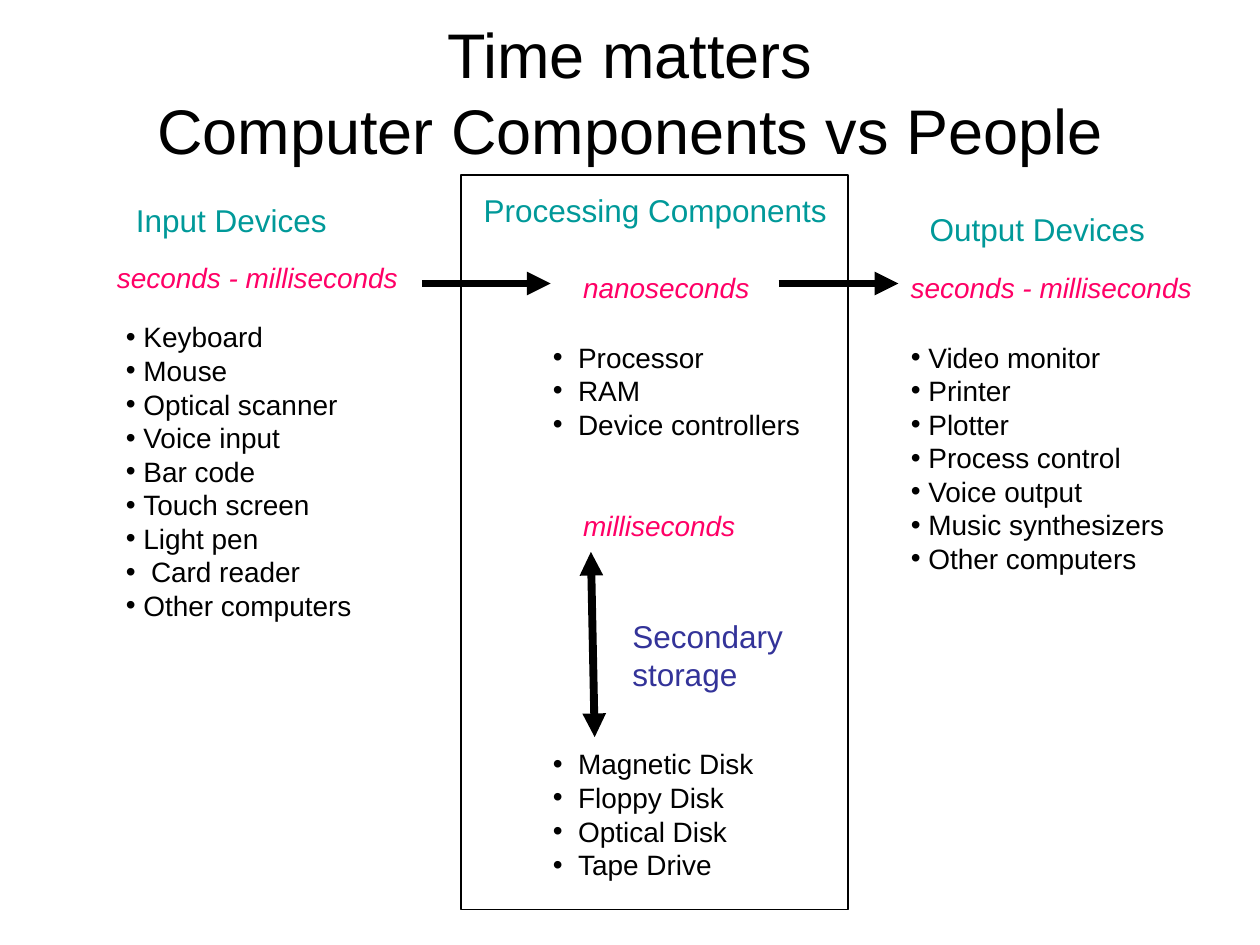
from dataclasses import dataclass

import lxml.etree
import pptx
import pptx.dml.color
import pptx.enum.shapes
import pptx.enum.text
import pptx.oxml.ns
import pptx.util

Inches = pptx.util.Inches
Pt = pptx.util.Pt
qn = pptx.oxml.ns.qn


@dataclass(frozen=True)
class Theme:
    font: str = "Arial"
    ink: str = "000000"
    heading: str = "009999"
    storage: str = "333399"
    speed: str = "FF0066"
    title_size: int = 36
    heading_size: int = 18
    body_size: int = 16
    frame_width: float = 0.75
    arrow_width: float = 4.5


class SlideBuilder:
    def __init__(self, slide, theme):
        self.s = slide
        self.theme = theme

    def color(self, value):
        return pptx.dml.color.RGBColor.from_string(value)

    def run(self, p, text, size, color, italic=False):
        r = p.add_run()
        r.text = text
        r.font.name = self.theme.font
        r.font.size = Pt(size)
        r.font.italic = italic
        r.font.color.rgb = self.color(color)

    def title(self, lines, x, y, w, h):
        sp = self.s.shapes.title
        sp.left, sp.top, sp.width, sp.height = map(Inches, (x, y, w, h))
        tf = sp.text_frame
        tf.auto_size = pptx.enum.text.MSO_AUTO_SIZE.NONE
        tf.vertical_anchor = pptx.enum.text.MSO_ANCHOR.MIDDLE
        p = tf.paragraphs[0]
        p.alignment = pptx.enum.text.PP_ALIGN.CENTER
        for i, line in enumerate(lines):
            if i:
                p.add_line_break()
            self.run(p, line, self.theme.title_size, self.theme.ink)

    def paragraphs(self, lines, x, y, w, h, wrap):
        """Add a text box and yield each line with its empty paragraph."""
        tf = self.s.shapes.add_textbox(*map(Inches, (x, y, w, h))).text_frame
        tf.word_wrap = wrap
        for i, line in enumerate(lines):
            yield line, tf.add_paragraph() if i else tf.paragraphs[0]

    def heading(self, lines, x, y, w, h=0.4, color=None):
        for line, p in self.paragraphs(lines, x, y, w, h, False):
            self.run(p, line, self.theme.heading_size, color or self.theme.heading)

    def speed(self, text, x, y, w):
        for line, p in self.paragraphs([text], x, y, w, 0.37, False):
            self.run(p, line, self.theme.body_size, self.theme.speed, italic=True)

    def bullets(self, items, x, y, w, h, hang=0.14, wide=()):
        """Add a bulleted list; items in wide get the larger hanging indent."""
        for item, p in self.paragraphs(items, x, y, w, h, True):
            indent = Inches(0.2 if item in wide else hang)
            pPr = p._p.get_or_add_pPr()
            pPr.set("marL", str(indent))
            pPr.set("indent", str(-indent))
            lxml.etree.SubElement(pPr, qn("a:buFont"), typeface=self.theme.font)
            lxml.etree.SubElement(pPr, qn("a:buChar"), char="•")
            self.run(p, item, self.theme.body_size, self.theme.ink)

    def frame(self, x, y, w, h):
        sp = self.s.shapes.add_shape(
            pptx.enum.shapes.MSO_SHAPE.RECTANGLE, *map(Inches, (x, y, w, h)))
        sp.shadow.inherit = False
        sp.fill.background()
        sp.line.color.rgb = self.color(self.theme.ink)
        sp.line.width = Pt(self.theme.frame_width)

    def arrow(self, x1, y1, x2, y2, ends=("tailEnd",)):
        cxn = self.s.shapes.add_connector(
            pptx.enum.shapes.MSO_CONNECTOR.STRAIGHT, *map(Inches, (x1, y1, x2, y2)))
        cxn.line.color.rgb = self.color(self.theme.ink)
        cxn.line.width = Pt(self.theme.arrow_width)
        ln = cxn.line._get_or_add_ln()
        for end in ends:
            lxml.etree.SubElement(ln, qn(f"a:{end}"), type="triangle")
        lxml.etree.SubElement(cxn._element.spPr, qn("a:effectLst"))


def main():
    prs = pptx.Presentation()
    prs.slide_width, prs.slide_height = Inches(10), Inches(7.5)
    theme = Theme()
    b = SlideBuilder(prs.slides.add_slide(prs.slide_layouts[5]), theme)

    b.title(["Time matters", "Computer Components vs People"], 0.5, 0.3, 9, 0.85)
    b.frame(3.66, 1.39, 3.07, 5.83)

    b.heading(["Input Devices"], 0.98, 1.55, 1.75)
    b.speed("seconds - milliseconds", 0.83, 2.02, 2.5)
    b.bullets(["Keyboard", "Mouse", "Optical scanner", "Voice input", "Bar code",
               "Touch screen", "Light pen", "Card reader", "Other computers"],
              0.9, 2.49, 2.25, 2.5, wide=("Card reader",))

    b.heading(["Processing Components"], 3.74, 1.47, 2.99)
    b.speed("nanoseconds", 4.53, 2.1, 1.6)
    b.bullets(["Processor", "RAM", "Device controllers"],
              4.29, 2.65, 2.5, 0.9, hang=0.2)

    b.speed("milliseconds", 4.53, 3.99, 1.5)
    b.heading(["Secondary", "storage"], 4.92, 4.85, 1.45, 0.7, theme.storage)
    b.bullets(["Magnetic Disk", "Floppy Disk", "Optical Disk", "Tape Drive"],
              4.29, 5.88, 2.08, 1.17, hang=0.2)

    b.heading(["Output Devices"], 7.28, 1.62, 1.95)
    b.speed("seconds - milliseconds", 7.13, 2.1, 2.5)
    b.bullets(["Video monitor", "Printer", "Plotter", "Process control",
               "Voice output", "Music synthesizers", "Other computers"],
              7.13, 2.65, 2.25, 1.97)

    b.arrow(3.35, 2.25, 4.37, 2.25)
    b.arrow(6.18, 2.25, 7.13, 2.25)
    b.arrow(4.69, 4.38, 4.72, 5.85, ends=("headEnd", "tailEnd"))

    prs.save("out.pptx")


if __name__ == "__main__":
    main()
